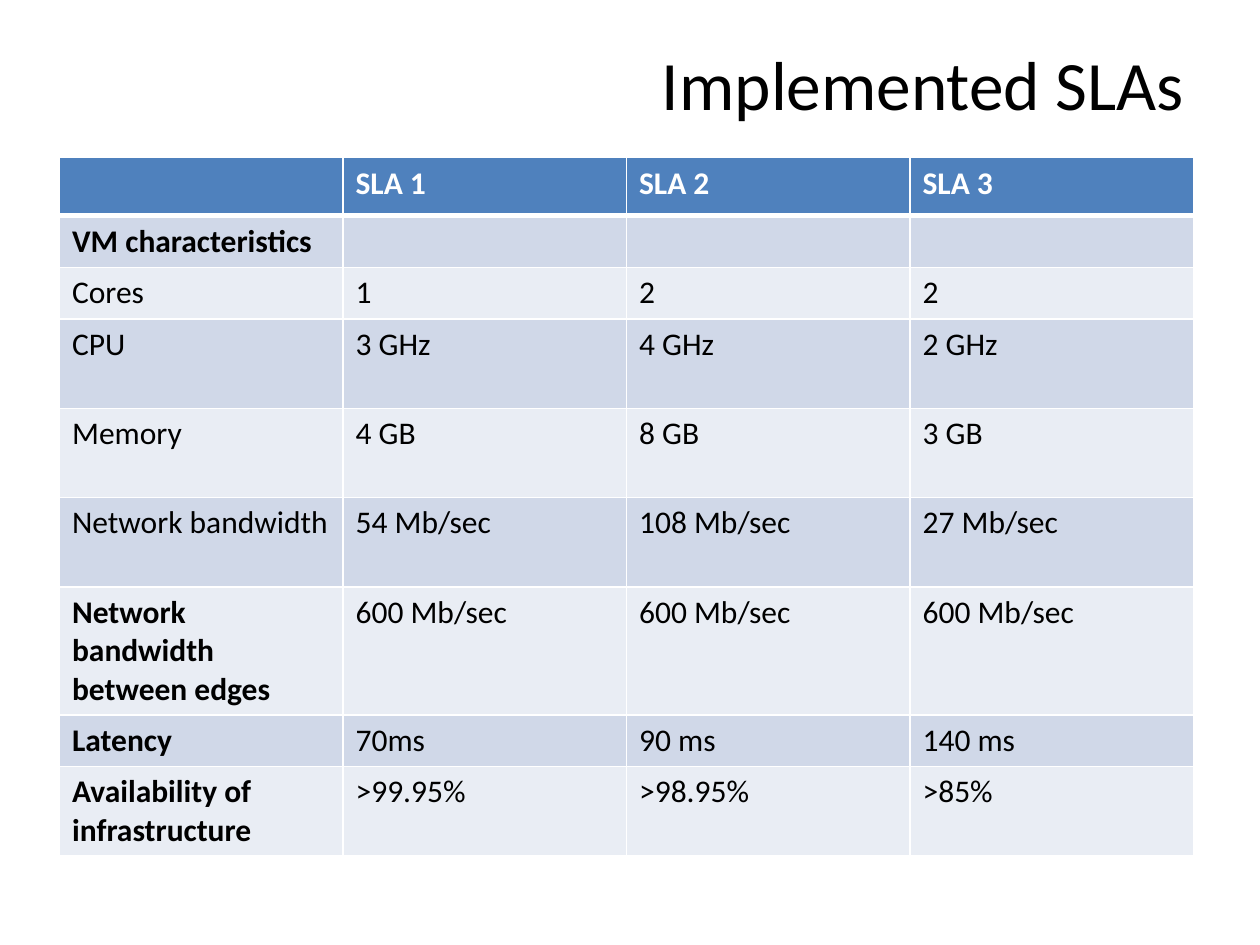
from lxml import etree
from pptx import Presentation
from pptx.dml.color import RGBColor
from pptx.enum.text import MSO_ANCHOR, MSO_AUTO_SIZE, PP_ALIGN
from pptx.oxml.ns import qn
from pptx.util import Cm, Pt

RIGHT = PP_ALIGN.RIGHT
MIDDLE = MSO_ANCHOR.MIDDLE
NO_AUTOFIT = MSO_AUTO_SIZE.NONE

BLACK = RGBColor(0x00, 0x00, 0x00)
WHITE = RGBColor(0xFF, 0xFF, 0xFF)
HEADER_BLUE = RGBColor(0x4F, 0x81, 0xBD)
BAND_DARK = RGBColor(0xD0, 0xD8, 0xE8)
BAND_LIGHT = RGBColor(0xE9, 0xED, 0xF4)
FONT = "Calibri"

# Row height in cm, then the cell texts
ROWS = [
    (1.17, ["", "SLA 1", "SLA 2", "SLA 3"]),
    (1.04, ["VM characteristics", "", "", ""]),
    (1.04, ["Cores", "1", "2", "2"]),
    (1.8, ["CPU", "3 GHz", "4 GHz", "2 GHz"]),
    (1.8, ["Memory", "4 GB", "8 GB", "3 GB"]),
    (1.8, ["Network bandwidth", "54 Mb/sec", "108 Mb/sec", "27 Mb/sec"]),
    (2.58, ["Network bandwidth between edges"] + ["600 Mb/sec"] * 3),
    (1.04, ["Latency", "70ms", "90 ms", "140 ms"]),
    (1.8, ["Availability of infrastructure", ">99.95%", ">98.95%", ">85%"]),
]
BOLD_LABEL_ROWS = {1, 6, 7, 8}


def style_run(r, size, color, bold=False):
    r.font.name = FONT
    r.font.size = Pt(size)
    r.font.bold = bold
    r.font.color.rgb = color


def set_borders(cell, widths):
    """Draw white cell borders; widths maps L, R, T and B to points."""
    tc_pr = cell._tc.get_or_add_tcPr()
    for side, width in widths.items():
        ln = etree.SubElement(tc_pr, qn(f"a:ln{side}"), w=str(Pt(width)))
        fill = etree.SubElement(ln, qn("a:solidFill"))
        etree.SubElement(fill, qn("a:srgbClr"), val=str(WHITE))


prs = Presentation()
prs.slide_width, prs.slide_height = Cm(25.4), Cm(19.05)
s = prs.slides.add_slide(prs.slide_layouts[5])

title = s.shapes.title
title.left, title.top = Cm(1.27), Cm(0.76)
title.width, title.height = Cm(22.86), Cm(1.83)
tf = title.text_frame
tf.text = "Implemented SLAs"
tf.auto_size = NO_AUTOFIT
tf.vertical_anchor = MIDDLE
p = tf.paragraphs[0]
p.alignment = RIGHT
style_run(p.runs[0], 39.6, BLACK)

total_height = sum(height for height, _ in ROWS)
table = s.shapes.add_table(len(ROWS), 4, Cm(1.2), Cm(3.18),
                           Cm(22.86), Cm(total_height)).table

for i, (height, texts) in enumerate(ROWS):
    table.rows[i].height = Cm(height)
    header = i == 0
    band = BAND_DARK if i % 2 else BAND_LIGHT
    for j, text in enumerate(texts):
        cell = table.cell(i, j)
        set_borders(cell, {"L": 1, "R": 1, "T": 3 if i == 1 else 1,
                           "B": 3 if header else 1})
        cell.fill.solid()
        cell.fill.fore_color.rgb = HEADER_BLUE if header else band
        if text:
            cell.text_frame.text = text
            bold = header or (j == 0 and i in BOLD_LABEL_ROWS)
            style_run(cell.text_frame.paragraphs[0].runs[0], 18,
                      WHITE if header else BLACK, bold)

prs.save("out.pptx")
